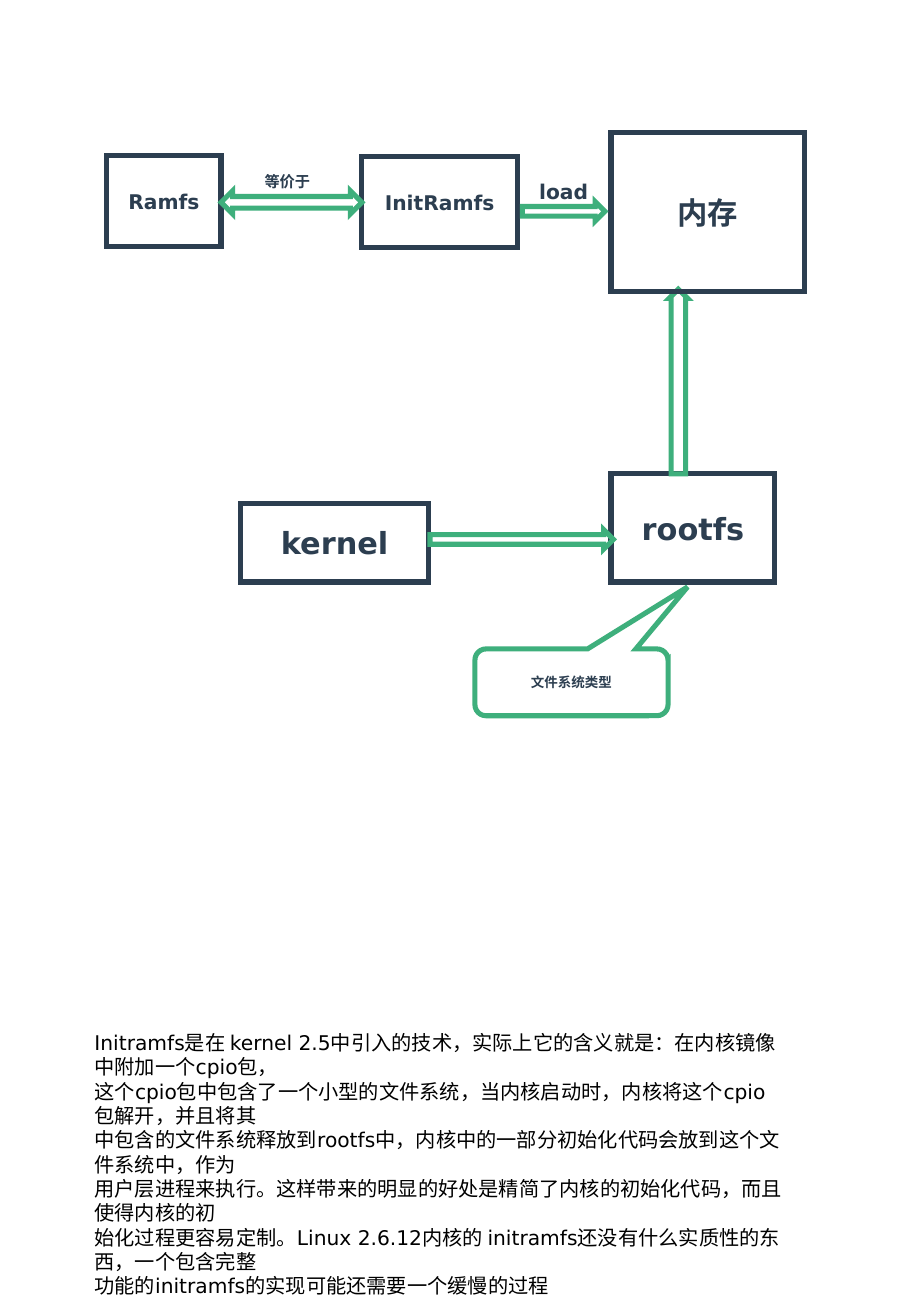
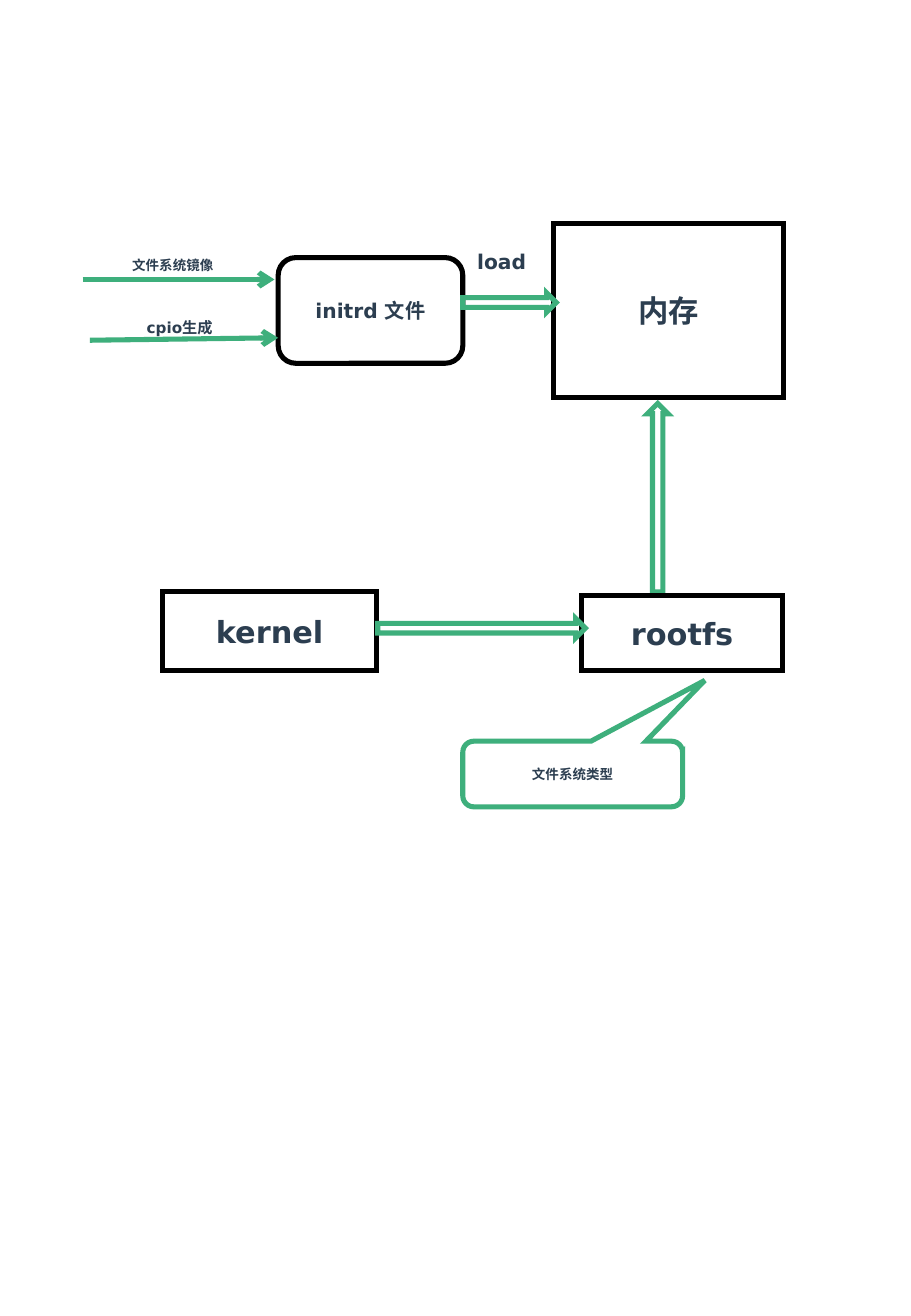
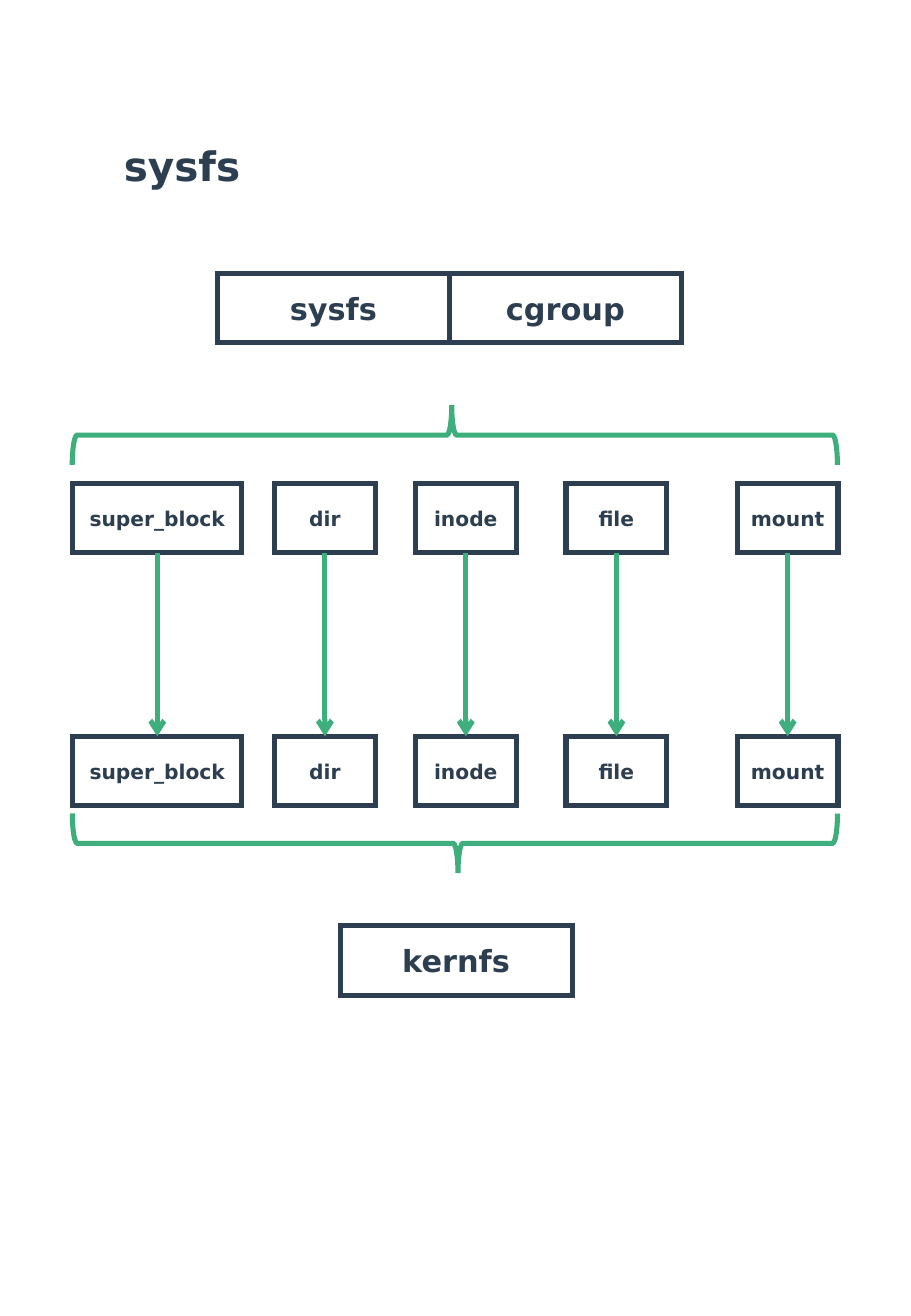
from lxml import etree
from pptx import Presentation
from pptx.dml.color import RGBColor
from pptx.enum.shapes import MSO_CONNECTOR, MSO_SHAPE as SHAPE
from pptx.enum.text import MSO_ANCHOR, MSO_AUTO_SIZE, PP_ALIGN
from pptx.oxml.ns import qn
from pptx.util import Inches, Pt

COLORS = {"ink": "2C3E50", "green": "3EAF7C", "black": "000000"}
FONT = "DejaVu Sans"
TITLE_ONLY, BLANK = 5, 6

INITRAMFS_NOTE = [
    "Initramfs是在 kernel 2.5中引入的技术，实际上它的含义就是：在内核镜像中附加一个cpio包，",
    "这个cpio包中包含了一个小型的文件系统，当内核启动时，内核将这个cpio包解开，并且将其",
    "中包含的文件系统释放到rootfs中，内核中的一部分初始化代码会放到这个文件系统中，作为\v"
    "用户层进程来执行。这样带来的明显的好处是精简了内核的初始化代码，而且使得内核的初",
    "始化过程更容易定制。Linux 2.6.12内核的 initramfs还没有什么实质性的东西，一个包含完整",
    "功能的initramfs的实现可能还需要一个缓慢的过程",
]


def rgb(name):
    return RGBColor.from_string(COLORS[name])


class Deck:
    def __init__(self):
        self.prs = Presentation()
        self.prs.slide_width, self.prs.slide_height = Inches(7.5), Inches(10.83)
        self.slide = None

    def new_slide(self, layout=BLANK):
        self.slide = self.prs.slides.add_slide(self.prs.slide_layouts[layout])

    def stroke(self, shape, color):
        shape.line.color.rgb = rgb(color)
        shape.line.width = Pt(3)

    def fill_text(self, frame, text, size, color="ink", bold=True, align=PP_ALIGN.LEFT):
        frame.text = text
        for paragraph in frame.paragraphs:
            paragraph.alignment = align
            for run in paragraph.runs:
                run.font.name = FONT
                run.font.size = Pt(size)
                run.font.bold = bold
                run.font.color.rgb = rgb(color)

    def outline(self, kind, at, color="green", adjust=(), rotation=0):
        """Add an unfilled preset shape with sharp line corners."""
        shape = self.slide.shapes.add_shape(kind, *map(Inches, at))
        shape.shadow.inherit = False
        shape.fill.background()
        self.stroke(shape, color)
        line_xml = shape._element.spPr.find(qn("a:ln"))
        etree.SubElement(line_xml, qn("a:miter"), lim="800000")
        for index, value in enumerate(adjust):
            shape.adjustments[index] = value
        shape.rotation = rotation
        return shape

    def box(self, text, at, size=18, color="ink", kind=SHAPE.RECTANGLE, adjust=()):
        frame = self.outline(kind, at, color, adjust).text_frame
        frame.vertical_anchor = MSO_ANCHOR.MIDDLE
        self.fill_text(frame, text, size, align=PP_ALIGN.CENTER)

    def callout(self, text, at):
        self.box(text, at, 8, "green", SHAPE.ROUNDED_RECTANGULAR_CALLOUT,
                 (0.601, -1.427, 0.167))

    def label(self, text, at, size, **style):
        frame = self.slide.shapes.add_textbox(*map(Inches, at)).text_frame
        frame.word_wrap = True
        frame.auto_size = MSO_AUTO_SIZE.SHAPE_TO_FIT_TEXT
        self.fill_text(frame, text, size, **style)

    def title(self, text, at):
        title = self.slide.shapes.title
        title.left, title.top, title.width, title.height = map(Inches, at)
        frame = title.text_frame
        frame.word_wrap = False
        frame.auto_size = MSO_AUTO_SIZE.SHAPE_TO_FIT_TEXT
        frame.vertical_anchor = MSO_ANCHOR.TOP
        self.fill_text(frame, text, 24)

    def arrow(self, *ends):
        """Draw a line arrow through x1, y1, x2, y2."""
        line = self.slide.shapes.add_connector(MSO_CONNECTOR.STRAIGHT, *map(Inches, ends))
        self.stroke(line, "green")
        properties = line._element.spPr
        etree.SubElement(properties.find(qn("a:ln")), qn("a:tailEnd"), type="arrow")
        etree.SubElement(properties, qn("a:effectLst"))


def initramfs_slide(deck):
    deck.new_slide()
    deck.box("Ramfs", (0.88, 1.28, 0.94, 0.75), 12)
    deck.box("InitRamfs", (2.98, 1.29, 1.28, 0.75), 12)
    deck.outline(SHAPE.LEFT_RIGHT_ARROW, (1.82, 1.57, 1.16, 0.19))
    deck.label("等价于", (2.08, 1.37, 0.76, 0.25), 9)
    deck.box("kernel", (1.98, 4.14, 1.55, 0.65))
    deck.box("rootfs", (5.03, 3.9, 1.35, 0.89))
    deck.outline(SHAPE.RIGHT_ARROW, (3.54, 4.36, 1.51, 0.16))
    deck.callout("文件系统类型", (3.91, 5.34, 1.59, 0.55))
    deck.outline(SHAPE.UP_ARROW, (5.51, 2.38, 0.15, 1.52), adjust=(0.8, 0.5))
    deck.box("内存", (5.03, 1.09, 1.59, 1.31))
    deck.outline(SHAPE.RIGHT_ARROW, (4.3, 1.66, 0.68, 0.16))
    deck.label("load", (4.34, 1.43, 0.7, 0.3), 12)
    deck.label("\n".join(INITRAMFS_NOTE), (0.68, 8.43, 5.87, 2.32), 12,
               color="black", bold=False)


def initrd_slide(deck):
    deck.new_slide()
    deck.box("内存", (4.56, 1.84, 1.89, 1.43), color="black")
    deck.box("initrd 文件", (2.29, 2.12, 1.52, 0.87), 12, "black", SHAPE.ROUNDED_RECTANGLE)
    deck.arrow(0.68, 2.3, 2.26, 2.3)
    deck.arrow(0.74, 2.8, 2.29, 2.78)
    deck.label("文件系统镜像", (0.99, 2.07, 1.27, 0.23), 8)
    deck.label("cpio生成", (1.11, 2.57, 1.03, 0.25), 9)
    deck.outline(SHAPE.RIGHT_ARROW, (3.81, 2.41, 0.77, 0.16))
    deck.label("load", (3.83, 2, 0.79, 0.3), 12)
    deck.outline(SHAPE.UP_ARROW, (5.33, 3.32, 0.17, 1.55))
    deck.box("kernel", (1.34, 4.87, 1.76, 0.65), color="black")
    deck.box("rootfs", (4.79, 4.9, 1.65, 0.62), color="black")
    deck.outline(SHAPE.RIGHT_ARROW, (3.11, 5.09, 1.71, 0.16))
    deck.callout("文件系统类型", (3.81, 6.1, 1.81, 0.54))


def sysfs_slide(deck):
    height, system_width = 0.57, 1.91
    upper_top, lower_top = 3.98, 6.06
    objects = [("super_block", 0.6, 1.39), ("dir", 2.26, 0.83), ("inode", 3.42, 0.83),
               ("file", 4.66, 0.83), ("mount", 6.07, 0.83)]

    deck.new_slide(TITLE_ONLY)
    deck.title("sysfs", (0.92, 1.11, 1.16, 0.5))
    for name, left, top in [("sysfs", 1.79, 2.25), ("cgroup", 1.79 + system_width, 2.25),
                            ("kernfs", 2.8, 7.62)]:
        deck.box(name, (left, top, system_width, height))
    for name, left, width in objects:
        for top in (upper_top, lower_top):
            deck.box(name, (left, top, width, height), 12)
        center = left + width / 2
        deck.arrow(center, upper_top + height, center, lower_top)
    for top, rotation in [(0.43, 270), (3.79, 90)]:
        deck.outline(SHAPE.RIGHT_BRACE, (3.5, top, 0.49, 6.3),
                     adjust=(0.083, 0.496), rotation=rotation)


def main():
    deck = Deck()
    initramfs_slide(deck)
    initrd_slide(deck)
    sysfs_slide(deck)
    deck.prs.save("out.pptx")


if __name__ == "__main__":
    main()
